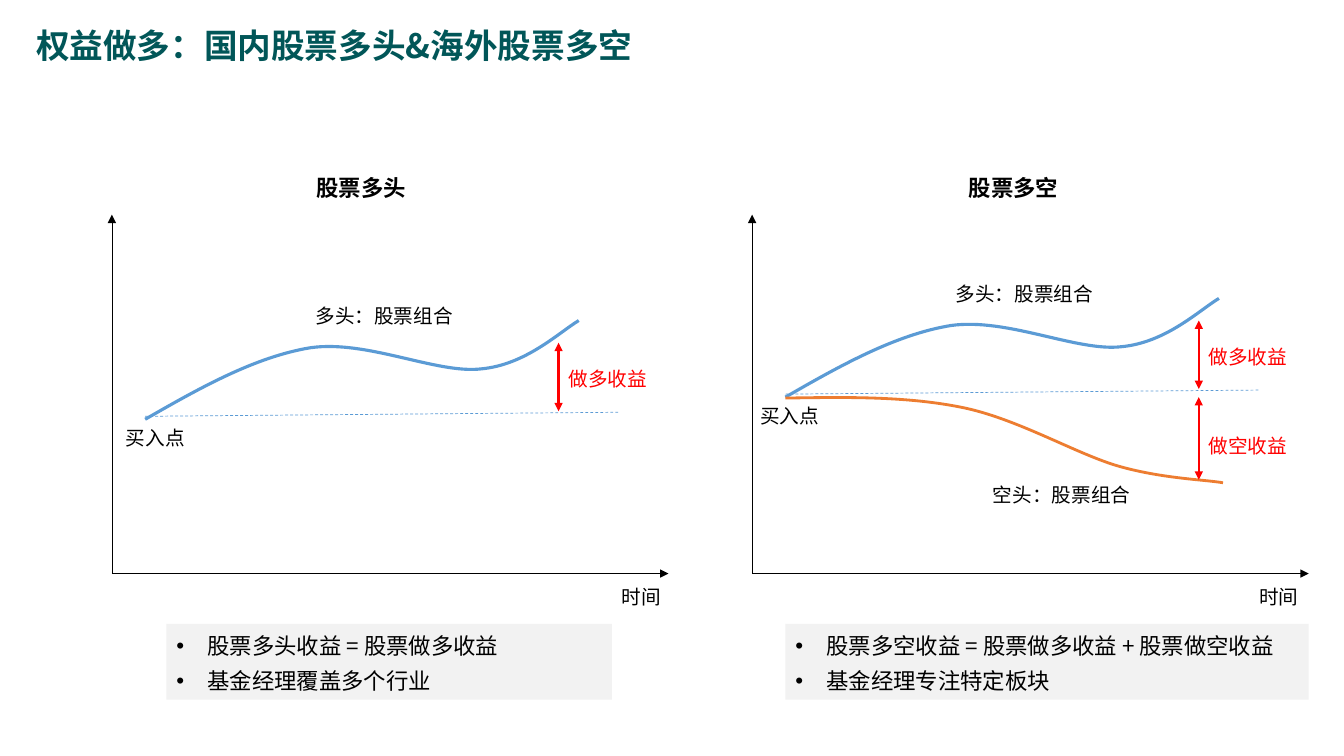
from dataclasses import dataclass

from lxml.etree import SubElement
from pptx import Presentation
from pptx.dml.color import RGBColor
from pptx.enum.dml import MSO_LINE_DASH_STYLE as Dash
from pptx.enum.shapes import MSO_CONNECTOR as Connector, MSO_SHAPE as Shape
from pptx.enum.text import MSO_ANCHOR as Anchor, PP_ALIGN as Align
from pptx.oxml.ns import qn
from pptx.util import Pt

PX = 9144
BODY_FONT = "Noto Sans CJK SC"
TITLE_FONT = "Noto Sans CJK JP"
BLACK = RGBColor(0x00, 0x00, 0x00)
RED = RGBColor(0xFF, 0x00, 0x00)
TEAL = RGBColor(0x01, 0x56, 0x58)
BLUE = RGBColor(0x5B, 0x9B, 0xD5)
ORANGE = RGBColor(0xED, 0x7D, 0x31)
GREY = RGBColor(0xF2, 0xF2, 0xF2)

LONG_CURVE = [(0, 0), (54, -31), (109, -62), (164, -71), (220, -79), (289, -45),
              (333, -50), (377, -54), (409, -85), (430, -98)]
SHORT_CURVE = [(0, 1), (59, 0), (119, -1), (174, 10), (230, 21), (289, 57),
               (332, 69), (375, 81), (417, 82), (434, 85)]


@dataclass
class Panel:
    """Wording and layout of one chart, with offsets from its axis."""
    left: int
    entry: int
    heading: str
    heading_offset: int
    time_offset: int
    entry_offset: int
    note_offset: int
    note_width: int
    notes: tuple
    has_short: bool


PANELS = [
    Panel(111, 416, "股票多头", 193, 496, 4, 54, 442,
          ("股票多头收益 = 股票做多收益", "基金经理覆盖多个行业"), False),
    Panel(746, 394, "股票多空", 205, 493, -2, 33, 519,
          ("股票多空收益 = 股票做多收益 + 股票做空收益", "基金经理专注特定板块"), True),
]


def style_text(para, size, color, bold=False, font=BODY_FONT):
    """Format every run of a paragraph."""
    for span in para.runs:
        span.font.size = Pt(size)
        span.font.bold = bold
        span.font.color.rgb = color
        span.font.name = font
        SubElement(span.font._element, qn("a:ea")).set("typeface", font)


def add_label(page, text, left, top, width=189, height=34, size=14, color=BLACK,
              bold=False, font=BODY_FONT):
    """Add a one-line text box."""
    box = page.shapes.add_textbox(left * PX, top * PX, width * PX, height * PX)
    frame = box.text_frame
    frame.word_wrap = True
    frame.vertical_anchor = Anchor.MIDDLE
    frame.text = text
    style_text(frame.paragraphs[0], size, color, bold, font)


def add_line(shapes, start, end, color, width, ends=()):
    """Add a straight line with arrowheads at the named ends."""
    line = shapes.add_connector(Connector.STRAIGHT, *(v * PX for v in start + end))
    line.line.color.rgb = color
    line.line.width = Pt(width)
    for end_name in ends:
        SubElement(line.line._get_or_add_ln(), qn(f"a:{end_name}")).set("type", "triangle")
    SubElement(line._element.spPr, qn("a:effectLst"))
    return line


def add_curve(page, left, top, points, color, width):
    """Add an open Bezier curve through a start point and control triples."""
    places = [(left + x, top + y) for x, y in points]
    builder = page.shapes.build_freeform(*places[0], scale=PX)
    builder.add_line_segments(places[1:], close=False)
    curve = builder.convert_to_shape()
    outline = curve._element.find(".//" + qn("a:path"))
    steps = outline.findall(qn("a:lnTo"))
    for index in range(0, len(steps), 3):
        bend = SubElement(outline, qn("a:cubicBezTo"))
        for step in steps[index:index + 3]:
            bend.append(step[0])
            outline.remove(step)
    curve.shadow.inherit = False
    curve.fill.background()
    curve.line.color.rgb = color
    curve.line.width = Pt(width)


def add_gain(page, text, left, top, bottom, label_top):
    """Add a red double arrow and its label."""
    add_line(page.shapes, (left, top), (left, bottom), RED, 1.5, ("headEnd", "tailEnd"))
    add_label(page, text, left, label_top, width=127, color=RED)


def add_notes(page, left, top, width, height, notes):
    """Add the grey box of bullet points."""
    box = page.shapes.add_shape(Shape.RECTANGLE, left * PX, top * PX, width * PX, height * PX)
    box.shadow.inherit = False
    box.fill.solid()
    box.fill.fore_color.rgb = GREY
    box.line.fill.background()
    frame = box.text_frame
    frame.word_wrap = True
    frame.vertical_anchor = Anchor.MIDDLE
    frame.text = "\n".join(notes)
    for index, para in enumerate(frame.paragraphs):
        para.alignment = Align.LEFT
        para.line_spacing = Pt(21)
        para.space_before = Pt(1 if index else 0)
        para.space_after = Pt(3)
        props = para._p.get_or_add_pPr()
        props.set("marL", str(31 * PX))
        props.set("indent", str(-31 * PX))
        SubElement(props, qn("a:buFont")).set("typeface", "Arial")
        SubElement(props, qn("a:buChar")).set("char", "•")
        style_text(para, 16, BLACK)


def draw_panel(page, panel):
    """Draw one chart with its axes, curves, labels and notes."""
    left, entry = panel.left, panel.entry
    start, gain = left + 33, left + 443
    axes = page.shapes.add_group_shape()
    for tip in ((left, 213), (left + 552, 569)):
        add_line(axes.shapes, (left, 569), tip, BLACK, 0.5, ("tailEnd",))
    add_label(page, panel.heading, left + panel.heading_offset, 168, 335, 37, 16, bold=True)
    add_label(page, "时间", left + panel.time_offset, 575)
    add_label(page, "多头：股票组合", left + 192, entry - 120)
    add_label(page, "买入点", left + panel.entry_offset, entry + 1)
    add_curve(page, start, entry, LONG_CURVE, BLUE, 2.25)
    base = add_line(page.shapes, (start, entry - 3), (start + 471, entry - 7), BLUE, 0.5)
    base.line.dash_style = Dash.DASH
    add_gain(page, "做多收益", gain, entry - 76, entry - 8, entry - 57)
    if panel.has_short:
        add_curve(page, start, entry, SHORT_CURVE, ORANGE, 2)
        add_label(page, "空头：股票组合", left + 229, entry + 80)
        add_gain(page, "做空收益", gain, entry, entry + 82, entry + 31)
    add_notes(page, left + panel.note_offset, 619, panel.note_width, 75, panel.notes)


def main():
    """Build and save the slide."""
    deck = Presentation()
    deck.slide_width, deck.slide_height = 1333 * PX, 750 * PX
    page = deck.slides.add_slide(deck.slide_layouts[6])
    for panel in PANELS:
        draw_panel(page, panel)
    add_label(page, "权益做多：国内股票多头&海外股票多空", 26, 20, 781, 50, 24, TEAL, True, TITLE_FONT)
    deck.save("out.pptx")


if __name__ == "__main__":
    main()
